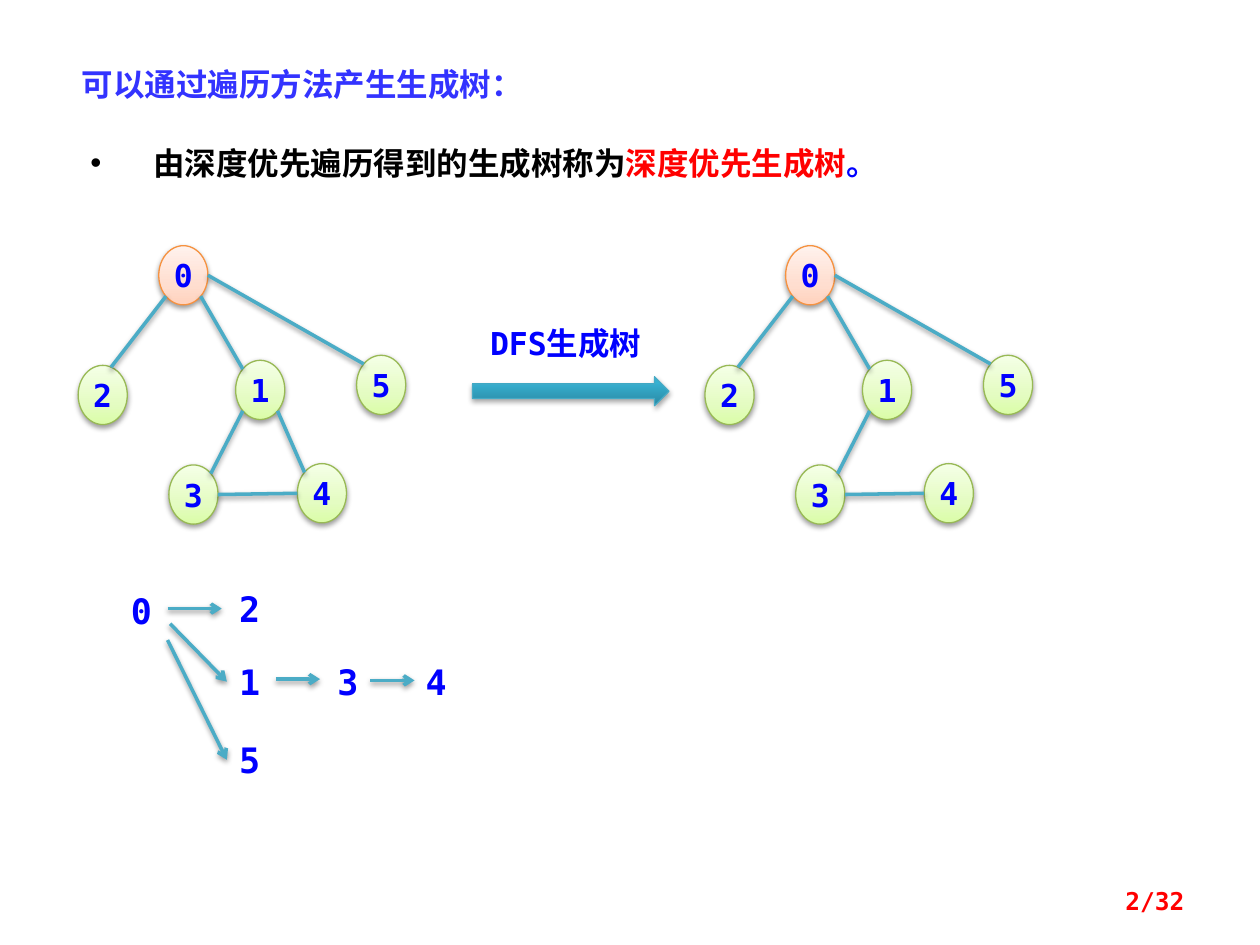
"""Build a slide that derives a depth-first spanning tree from a graph."""
import math
import pptx
import pptx.util
import pptx.oxml
import pptx.oxml.ns
import pptx.dml.color
import pptx.enum.shapes
import pptx.enum.text

THEME = {
    "mono": "DejaVu Sans Mono", "serif": "Times New Roman", "cjk": "Noto Sans CJK JP",
    "paper": "FFFFFF", "ink": "000000", "heading": "3333FF", "label": "0000FF",
    "accent": "FF0000", "edge": "4BACC6", "arrow_line": "46AAC5",
    "root_line": "F69240", "node_line": "98B955",
    "root_fill": [(0, "FFD2BD"), (35, "FFDED0"), (100, "FFF2ED")],
    "node_fill": [(0, "DAFDA7"), (35, "E4FCC2"), (100, "F5FFE7")],
    "arrow_fill": [(0, "2A88A2"), (80, "37B1D2"), (100, "34B4D6")],
    "body_size": 18, "path_size": 20, "page_size": 14, "edge_width": 2, "outline_width": 0.75,
}
NAMESPACE = pptx.oxml.ns.nsdecls("a")
ALIGN = pptx.enum.text.PP_ALIGN
ANCHOR = pptx.enum.text.MSO_ANCHOR
SHAPE = pptx.enum.shapes.MSO_SHAPE
GROW = {"auto_size": pptx.enum.text.MSO_AUTO_SIZE.SHAPE_TO_FIT_TEXT, "word_wrap": True}

deck = pptx.Presentation()
deck.slide_width, deck.slide_height = pptx.util.Inches(10), pptx.util.Inches(7.5)
column, row = deck.slide_width / 100, deck.slide_height / 75
slide = deck.slides.add_slide(deck.slide_layouts[6])


def write(holder, runs, size, frame_format, alignment=ALIGN.LEFT):
    """Write (text, colour, font) runs into the first paragraph of a shape."""
    for key, value in frame_format.items():
        setattr(holder.text_frame, key, value)
    paragraph = holder.text_frame.paragraphs[0]
    paragraph.alignment = alignment
    for text, color, face in runs:
        run = paragraph.add_run()
        run.text = text
        font_format = {"name": THEME[face], "size": pptx.util.Pt(THEME[size]), "bold": True}
        for key, value in font_format.items():
            setattr(run.font, key, value)
        run.font.color.rgb = pptx.dml.color.RGBColor.from_string(THEME[color])
        run.font._element.append(pptx.oxml.parse_xml(
            f'<a:ea {NAMESPACE} typeface="{THEME["cjk"]}"/>'))
    return paragraph


def decorate(item, line_color, line_width, gradient=None, opacity=38, distance=1.6):
    """Give a shape or connector its gradient, line and soft shadow."""
    properties = item._element.spPr
    if gradient:
        stops = "".join(f'<a:gs pos="{share * 1000}"><a:srgbClr val="{color}"/></a:gs>'
                        for share, color in THEME[gradient])
        properties.append(pptx.oxml.parse_xml(
            f'<a:gradFill {NAMESPACE} rotWithShape="1"><a:gsLst>{stops}</a:gsLst>'
            '<a:lin ang="16200000" scaled="0"/></a:gradFill>'))
    item.line.color.rgb = pptx.dml.color.RGBColor.from_string(THEME[line_color])
    item.line.width = pptx.util.Pt(THEME[line_width])
    properties.append(pptx.oxml.parse_xml(
        f'<a:effectLst {NAMESPACE}><a:outerShdw blurRad="{pptx.util.Pt(3.1)}" '
        f'dist="{pptx.util.Pt(distance)}" dir="5400000" rotWithShape="0">'
        f'<a:srgbClr val="{THEME["ink"]}"><a:alpha val="{opacity * 1000}"/></a:srgbClr>'
        '</a:outerShdw></a:effectLst>'))


statement = slide.shapes.add_textbox(
    int(6.2 * column), int(9.4 * row), int(68 * column), int(5.6 * row))
statement.fill.solid()
statement.fill.fore_color.rgb = pptx.dml.color.RGBColor.from_string(THEME["paper"])
bullet = write(statement, [("由深度优先遍历得到的生成树称为", "ink", "mono"),
                           ("深度优先生成树", "accent", "cjk"),
                           ("。", "label", "mono")], "body_size", GROW, ALIGN.JUSTIFY)
bullet.line_spacing = 1.5
bullet_properties = bullet._p.get_or_add_pPr()
bullet_properties.set("marL", str(int(5 * column)))
bullet_properties.set("indent", str(int(-5 * column)))
for mark in ('buFont {} typeface="Arial"', 'buChar {} char="•"'):
    bullet_properties.append(pptx.oxml.parse_xml(f"<a:{mark.format(NAMESPACE)}/>"))

captions = [
    ("可以通过遍历方法产生生成树：", 5.5, 4.7, 44.5, "heading", "serif", ALIGN.LEFT),
    ("DFS生成树", 35.9, 25.2, 18, "label", "mono", ALIGN.CENTER),
]
for text, left, top, width, color, face, alignment in captions:
    caption = slide.shapes.add_textbox(
        int(left * column), int(top * row), int(width * column), int(4 * row))
    write(caption, [(text, color, face)], "body_size", GROW, alignment)

node_width, node_height = 3.9, 4.7
nodes = {0: (12.6, 19.5), 1: (18.7, 28.6), 2: (6.2, 29), 3: (13.4, 36.9),
         4: (23.6, 36.8), 5: (28.3, 28.2)}
# edges leave and enter each ellipse at the given angles
tree_edges = [(0, 225, 2, 70), (0, 315, 1, 135), (3, 0, 4, 180), (0, 0, 5, 135), (1, 225, 3, 45)]
graph_edges = tree_edges + [(1, 315, 4, 135)]
links = []
for shift, edges in ((0, graph_edges), (49.75, tree_edges)):
    for number, (left, top) in nodes.items():
        node = slide.shapes.add_shape(
            SHAPE.OVAL, int((left + shift) * column), int(top * row),
            int(node_width * column), int(node_height * row))
        kind = "node" if number else "root"
        decorate(node, f"{kind}_line", "outline_width", f"{kind}_fill")
        write(node, [(str(number), "label", "mono")], "body_size",
              {"word_wrap": False, "vertical_anchor": ANCHOR.MIDDLE}, ALIGN.CENTER)
    for start, start_angle, end, end_angle in edges:
        ends = []
        for number, angle in ((start, start_angle), (end, end_angle)):
            left, top = nodes[number]
            ends += [left + shift + node_width / 2 * (1 + math.cos(math.radians(angle))),
                     top + node_height / 2 * (1 - math.sin(math.radians(angle)))]
        links.append((ends, False))

visits = {0: (9.4, 46.3), 2: (18, 46.1), 1: (18, 51.9), 3: (25.8, 51.9),
          4: (32.8, 51.9), 5: (18, 58.1)}
for number, (left, top) in visits.items():
    visit = slide.shapes.add_textbox(
        int(left * column), int(top * row), int(3.9 * column), int(4.4 * row))
    write(visit, [(str(number), "label", "mono")], "path_size", GROW)
steps = [(13.3, 48.3, 17.6, 48.3), (21.9, 53.9, 25.4, 53.9), (29.4, 54, 32.9, 54),
         (13.5, 49.5, 18, 54.1), (13.3, 50.8, 18, 60.3)]
links += [(step, True) for step in steps]

for (start_x, start_y, end_x, end_y), pointed in links:
    link = slide.shapes.add_connector(
        pptx.enum.shapes.MSO_CONNECTOR.STRAIGHT, int(start_x * column), int(start_y * row),
        int(end_x * column), int(end_y * row))
    decorate(link, "edge", "edge_width")
    if pointed:
        link.line._get_or_add_ln().append(
            pptx.oxml.parse_xml(f'<a:tailEnd {NAMESPACE} type="arrow"/>'))

transform = slide.shapes.add_shape(
    SHAPE.RIGHT_ARROW, int(37.5 * column), int(29.9 * row), int(15.6 * column), int(2.3 * row))
decorate(transform, "arrow_line", "outline_width", "arrow_fill", 35, 1.8)

page = slide.shapes.add_textbox(
    int(71.7 * column), int(69.5 * row), int(23.3 * column), int(4 * row))
write(page, [("2/32", "accent", "mono")], "page_size",
      {"word_wrap": True, "vertical_anchor": ANCHOR.MIDDLE}, ALIGN.RIGHT)

deck.save("out.pptx")
